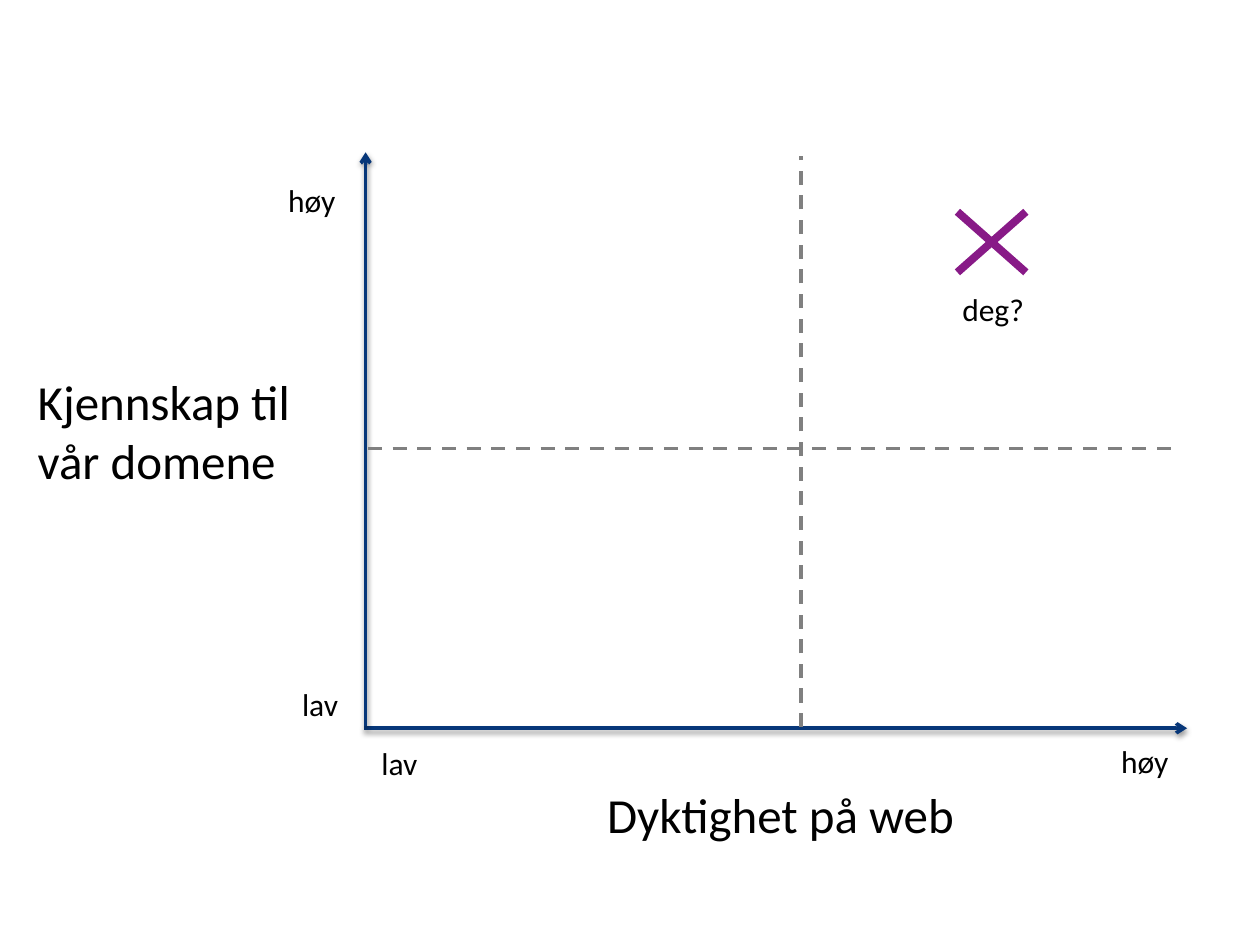
from lxml import etree
from pptx import Presentation
from pptx import util as u
from pptx.dml.color import RGBColor
from pptx.enum import dml, shapes, text
from pptx.oxml import ns

HUES = {"axis": "073779", "grid": "808080", "cross": "881A87", "text": "000000"}
FONT = "Calibri"


def write(frame, words, size=18, hue="text", wrap=False):
    frame.word_wrap = wrap
    frame.auto_size = text.MSO_AUTO_SIZE.SHAPE_TO_FIT_TEXT
    run = frame.paragraphs[0].add_run()
    run.text = words
    run.font.name = FONT
    run.font.size = u.Pt(size)
    run.font.color.rgb = RGBColor.from_string(HUES[hue])


def add(node, tag, **attrs):
    return etree.SubElement(node, ns.qn(tag), **attrs)


class Board:
    def __init__(self, slide):
        self.slide = slide

    def label(self, words, x, y, w, h=1.02, **style):
        box = self.slide.shapes.add_textbox(*map(u.Cm, (x, y, w, h)))
        write(box.text_frame, words, **style)

    def line(self, x1, y1, x2, y2, hue, width=2, dash=False):
        """Draw a plain line and return it with its empty effect list."""
        line = self.slide.shapes.add_connector(
            shapes.MSO_CONNECTOR.STRAIGHT, *map(u.Cm, (x1, y1, x2, y2)))
        line.line.color.rgb = RGBColor.from_string(HUES[hue])
        line.line.width = u.Pt(width)
        if dash:
            line.line.dash_style = dml.MSO_LINE.DASH
        return line, add(line._element.spPr, "a:effectLst")

    def axis(self, *ends):
        """Draw an arrow with a soft shadow below it."""
        line, fx = self.line(*ends, "axis")
        add(line.line._get_or_add_ln(), "a:tailEnd", type="arrow")
        shade = add(fx, "a:outerShdw", blurRad=str(u.Pt(3.1)),
                    dist=str(u.Pt(1.6)), dir="5400000", rotWithShape="0")
        tint = add(shade, "a:srgbClr", val="000000")
        add(tint, "a:alpha", val="38000")


def main():
    deck = Presentation()
    deck.slide_width, deck.slide_height = u.Cm(25.4), u.Cm(19.05)
    board = Board(deck.slides.add_slide(deck.slide_layouts[6]))

    # Horizontal axis and titles
    board.axis(7.34, 14.68, 23.93, 14.68)
    board.label("Kjennskap til vår domene", 0.51, 7.37, 6.63, 2.64,
                size=28, wrap=True)
    board.label("Dyktighet på web", 11.99, 15.7, 8.59, 1.45,
                size=28, wrap=True)

    # Ends of the scales
    for words, x, y, w in (("høy", 5.56, 3.53, 1.47),
                           ("lav", 7.44, 14.88, 1.24),
                           ("høy", 22.35, 14.83, 1.47),
                           ("lav", 5.84, 13.69, 1.24)):
        board.label(words, x, y, w)

    # Vertical axis and quadrant lines
    board.axis(7.37, 14.63, 7.37, 3.07)
    board.line(7.42, 9.04, 23.72, 9.04, "grid", dash=True)
    board.line(16.15, 14.66, 16.15, 3.15, "grid", dash=True)

    # Cross with its label
    left, right, top, base = 19.3, 20.68, 4.27, 5.49
    for start, end in ((left, right), (right, left)):
        board.line(start, top, end, base, "cross", width=4.5)
    board.label("deg?", 19.15, 5.72, 1.78)

    deck.save("out.pptx")


if __name__ == "__main__":
    main()
